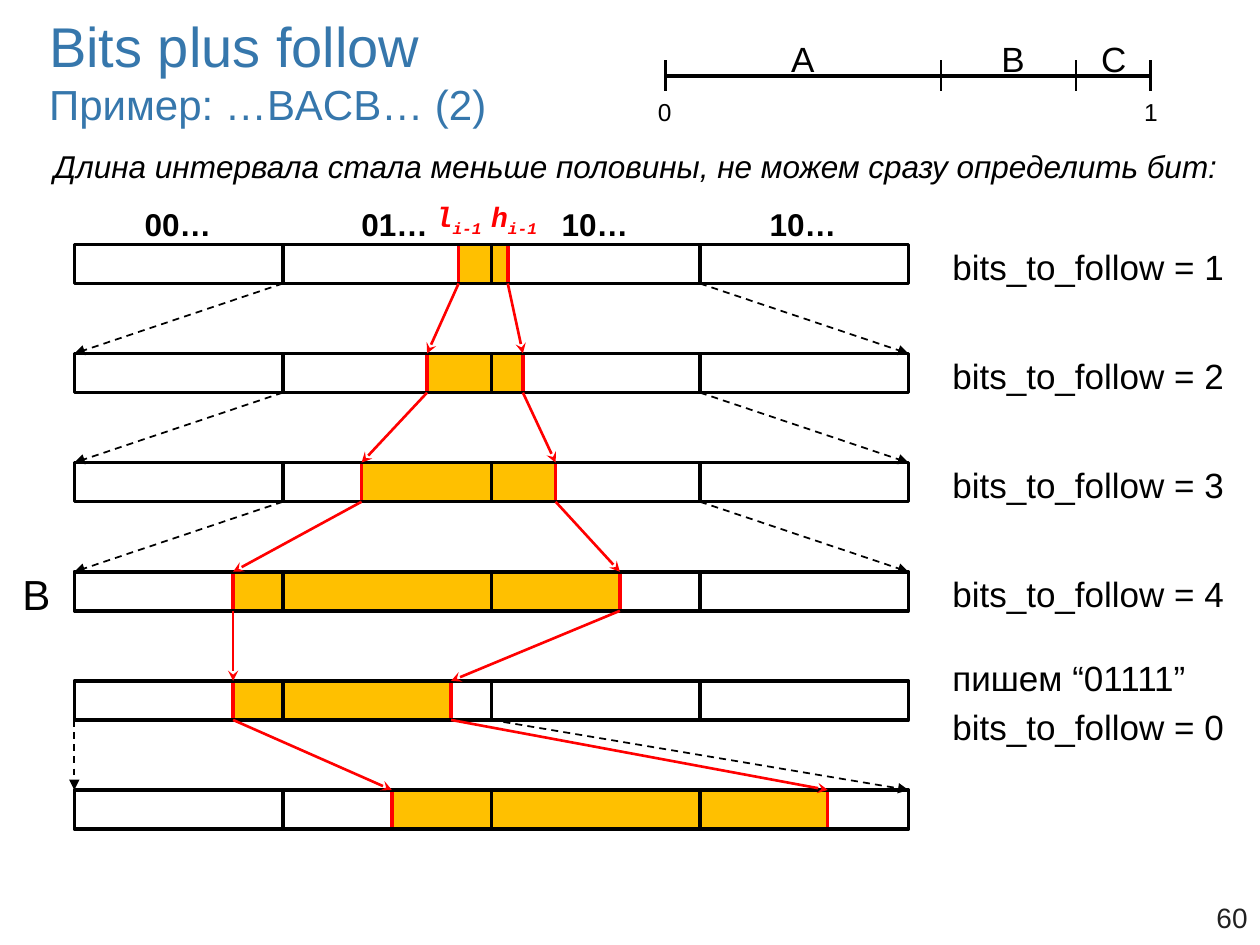
from lxml.etree import SubElement
from pptx import Presentation
from pptx.dml.color import RGBColor
from pptx.enum.dml import MSO_LINE
from pptx.enum.shapes import MSO_CONNECTOR, MSO_SHAPE
from pptx.enum.text import MSO_ANCHOR, PP_ALIGN
from pptx.oxml.ns import qn
from pptx.util import Inches, Pt

BLACK, RED, AMBER, BLUE, GREY = "000000", "FF0000", "FFC000", "3677AC", "212121"
color = RGBColor.from_string

deck = Presentation()
deck.slide_width, deck.slide_height = Inches(10), Inches(7.5)
page = deck.slides.add_slide(deck.slide_layouts[5])


def add_text(text, left, top, width, height, size, hue=BLACK, bold=False, italic=False,
             align=PP_ALIGN.LEFT, font="Arial", subscript=""):
    box = page.shapes.add_textbox(Inches(left), Inches(top), Inches(width), Inches(height))
    box.text_frame.word_wrap = False
    box.text_frame.vertical_anchor = MSO_ANCHOR.BOTTOM
    para = box.text_frame.paragraphs[0]
    para.alignment, para.line_spacing = align, 1.17
    for number, line in enumerate(text.split("\n")):
        if number:
            para.add_line_break()
        para.add_run().text = line
    if subscript:
        span = para.add_run()
        span.text = subscript
        span.font._element.set("baseline", "-25000")
    for span in para.runs:
        span.font.name, span.font.size = font, Pt(size)
        span.font.bold, span.font.italic = bold, italic
        span.font.color.rgb = color(hue)


def add_line(x1, y1, x2, y2, weight, hue=BLACK, head=None, dashed=False):
    line = page.shapes.add_connector(MSO_CONNECTOR.STRAIGHT, Inches(x1), Inches(y1),
                                     Inches(x2), Inches(y2))
    line.line.width = Pt(weight)
    line.line.color.rgb = color(hue)
    if dashed:
        line.line.dash_style = MSO_LINE.DASH
    if head:
        SubElement(line.line._get_or_add_ln(), qn("a:tailEnd"), type=head)
    SubElement(line._element.spPr, qn("a:effectLst"))


# Title
title = page.shapes.title
title.left, title.top, title.width, title.height = Inches(0.29), Inches(0.04), Inches(9.84), Inches(1.25)
title.text_frame.vertical_anchor = MSO_ANCHOR.TOP
for number, (text, size) in enumerate([("Bits plus follow", 32), ("Пример: …BACB… (2)", 24)]):
    para = title.text_frame.add_paragraph() if number else title.text_frame.paragraphs[0]
    para.alignment, para.space_before = PP_ALIGN.LEFT, Pt(0)
    span = para.add_run()
    span.text = text
    span.font.name, span.font.size = "Arial", Pt(size)
    span.font.color.rgb = color(BLUE)

add_text("Длина интервала стала меньше половины, не можем сразу определить бит:",
         0.33, 1.06, 9.5, 0.46, 18, italic=True)

# Symbol scale from 0 to 1
add_line(5.28, 0.6, 9.13, 0.6, 2.25)
for x in (5.28, 7.47, 8.54, 9.13):
    add_line(x, 0.48, x, 0.72, 1.5)
for text, left in (("0", 5.12), ("1", 8.98)):
    add_text(text, left, 0.7, 0.31, 0.35, 14, align=PP_ALIGN.CENTER)
for text, left in (("A", 6.18), ("B", 7.85), ("C", 8.64)):
    add_text(text, left, 0.22, 0.4, 0.46, 20)

# Interval bars: low and high end of the highlighted range in each row
LEFT, QUARTER, TOP, STEP, BAR = 0.59, 1.655, 1.94, 0.866, 0.31
quarters = [LEFT + QUARTER * i for i in range(5)]
ranges = [(3.64, 4.03), (3.39, 4.15), (2.87, 4.41), (1.85, 4.92), (1.85, 3.58), (3.11, 6.57)]
for row, (low, high) in enumerate(ranges):
    top = TOP + STEP * row
    for left, right, fill, hue in ((low, high, AMBER, RED),
                                   (quarters[0], quarters[2], None, BLACK),
                                   (quarters[2], quarters[4], None, BLACK)):
        bar = page.shapes.add_shape(MSO_SHAPE.RECTANGLE, Inches(left), Inches(top),
                                    Inches(right - left), Inches(BAR))
        bar.shadow.inherit = False
        if fill:
            bar.fill.solid()
            bar.fill.fore_color.rgb = color(fill)
        else:
            bar.fill.background()
        bar.line.color.rgb = color(hue)
        bar.line.width = Pt(2)
    for x in (quarters[1], quarters[3]):
        add_line(x, top, x, top + BAR, 2)

# Arrows between rows: dashed for the stretched part, red for the range
stretched = [(1, 3)] * 3 + [None, (0, 2)]
for row, part in enumerate(stretched):
    start, end = TOP + STEP * row + BAR, TOP + STEP * (row + 1)
    if part:
        for source, target in zip(part, (0, 4)):
            add_line(quarters[source], start, quarters[target], end, 1, head="triangle", dashed=True)
    for source, target in zip(ranges[row], ranges[row + 1]):
        add_line(source, start, target, end, 1.5, RED, head="stealth")

# Labels above the bars
for text, left in (("00…", 1.05), ("01…", 2.77), ("10…", 4.36), ("10…", 6.01)):
    add_text(text, left, 1.52, 0.73, 0.46, 18, bold=True)
for text, left in (("l", 3.36), ("h", 3.8)):
    add_text(text, left, 1.54, 0.61, 0.4, 16, RED, bold=True, italic=True,
             font="Courier New", subscript="i-1")

# Labels beside the bars
for row in range(4):
    add_text(f"bits_to_follow = {row + 1}", 7.46, 1.84 + STEP * row, 2.38, 0.49, 20)
add_text("пишем “01111”\nbits_to_follow = 0", 7.46, 5.09, 2.38, 0.89, 20)
add_text("B", 0.08, 4.43, 0.43, 0.53, 24)

# Page number
add_text("60", 9.36, 7.09, 0.64, 0.37, 16, GREY, align=PP_ALIGN.RIGHT)

deck.save("out.pptx")
